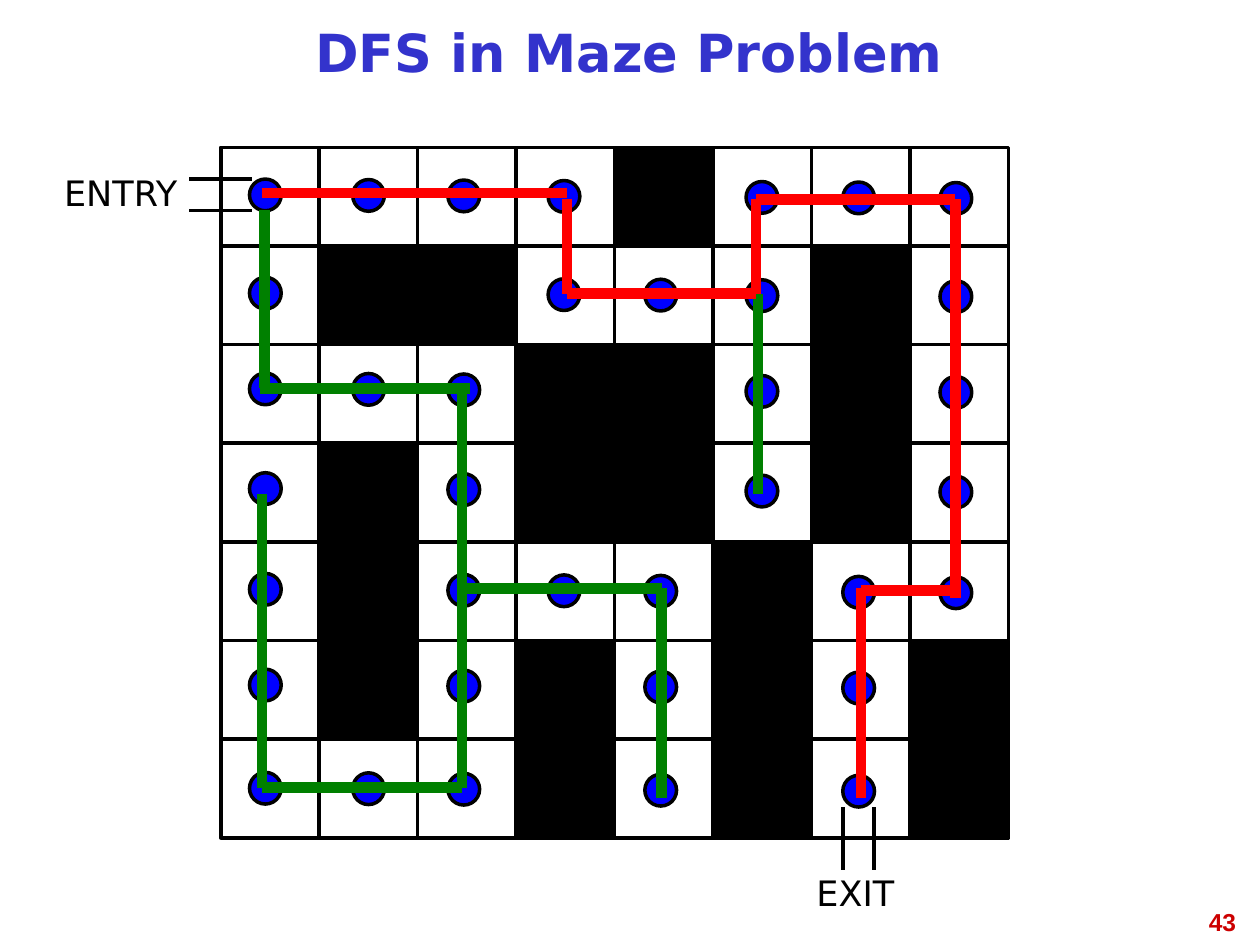
"""Build the slide that shows depth-first search in a maze."""
from lxml.etree import SubElement
from pptx import Presentation
from pptx.dml.color import RGBColor
from pptx.enum.shapes import MSO_CONNECTOR, MSO_SHAPE
from pptx.enum.text import MSO_ANCHOR as ANCHOR, PP_ALIGN as ALIGN
from pptx.oxml.ns import qn
from pptx.util import Cm, Pt

COLORS = {
    "black": "000000",
    "title": "3333CC",
    "number": "CC0000",
    "dot": "0000FF",
    "back": "008000",
    "route": "FF0000",
}
RGB = {name: RGBColor.from_string(value) for name, value in COLORS.items()}

prs = Presentation()
prs.slide_width, prs.slide_height = Cm(25.4), Cm(19.05)
s = prs.slides.add_slide(prs.slide_layouts[6])


def add_text(text, box, size=20, color="black", font="DejaVu Sans", bold=False,
             align=ALIGN.CENTER, anchor=ANCHOR.MIDDLE, inset=0.0, wrap=True, spacing=1.0):
    tf = s.shapes.add_textbox(*map(Cm, box)).text_frame
    tf.word_wrap = wrap
    tf.vertical_anchor = anchor
    tf.margin_left = tf.margin_right = Cm(0.25)
    tf.margin_top = tf.margin_bottom = Cm(inset)
    p = tf.paragraphs[0]
    p.alignment = align
    p.line_spacing = spacing
    r = p.add_run()
    r.text = text
    r.font.name, r.font.size, r.font.bold = font, Pt(size), bold
    r.font.color.rgb = RGB[color]


def add_line(start, end, color="black", width=2):
    line = s.shapes.add_connector(MSO_CONNECTOR.STRAIGHT, *map(Cm, start + end))
    line.line.color.rgb = RGB[color]
    line.line.width = Pt(width)
    SubElement(line._element.spPr, qn("a:effectLst"))


add_text("43", (19.25, 18.16, 5.92, 1.32), size=14, color="number", font="Arial",
         bold=True, align=ALIGN.RIGHT, anchor=ANCHOR.TOP, inset=0.13)
add_text("DFS in Maze Problem", (1.27, 0.2, 22.83, 1.9), size=30, color="title",
         bold=True, inset=0.13, spacing=0.81)

MAZE = [
    "....#...",
    ".##...#.",
    "...##.#.",
    ".#.##.#.",
    ".#...#..",
    ".#.#.#.#",
    "...#.#.#",
]
LEFT, TOP = 4.45, 2.97
CELL_W, CELL_H = 15.88 / 8, 13.92 / 7
cells = [(row, col, mark) for row, line in enumerate(MAZE) for col, mark in enumerate(line)]

for row, col, mark in cells:
    cell = s.shapes.add_shape(MSO_SHAPE.RECTANGLE, Cm(LEFT + col * CELL_W),
                              Cm(TOP + row * CELL_H), Cm(CELL_W), Cm(CELL_H))
    cell.shadow.inherit = False
    cell.line.color.rgb = RGB["black"]
    cell.line.width = Pt(2)
    if mark == "#":
        cell.fill.solid()
        cell.fill.fore_color.rgb = RGB["black"]
    else:
        cell.fill.background()

for y in (3.61, 4.24):
    add_line((3.81, y), (5.08, y))
for x in (16.99, 17.62):
    add_line((x, 17.53), (x, 16.26))
add_text("ENTRY", (0.43, 3.23, 4.01, 1.3), wrap=False)
add_text("EXIT", (15.24, 17.35, 4.01, 1.3), wrap=False)

DOT = 0.64
DOT_X = [5.03, 7.11, 9.03, 11.05, 13, 15.04, 16.99, 18.95]
DOT_Y = [3.61, 5.59, 7.52, 9.53, 11.56, 13.49, 15.57]
DRIFT = 0.01

for row, col, mark in cells:
    if mark == ".":
        dot = s.shapes.add_shape(MSO_SHAPE.OVAL, Cm(DOT_X[col]),
                                 Cm(DOT_Y[row] + col * DRIFT), Cm(DOT), Cm(DOT))
        dot.shadow.inherit = False
        dot.fill.solid()
        dot.fill.fore_color.rgb = RGB["dot"]
        dot.line.color.rgb = RGB["black"]
        dot.line.width = Pt(2)

PATHS = {
    "back": [
        ((5.28, 15.88), (5.28, 9.96)),
        ((9.31, 15.88), (5.28, 15.88)),
        ((9.31, 11.86), (9.31, 15.88)),
        ((13.34, 11.86), (13.34, 16.08)),
        ((9.31, 11.86), (13.34, 11.86)),
        ((9.31, 7.83), (9.31, 11.86)),
        ((5.24, 7.83), (9.47, 7.83)),
        ((5.33, 4.24), (5.33, 7.83)),
        ((15.28, 5.92), (15.28, 9.96)),
    ],
    "route": [
        ((5.28, 3.89), (11.43, 3.89)),
        ((11.43, 4.02), (11.43, 5.92)),
        ((11.43, 5.92), (15.24, 5.92)),
        ((15.24, 5.92), (15.24, 4.02)),
        ((15.24, 4.02), (19.26, 4.02)),
        ((19.26, 4.02), (19.26, 12.06)),
        ((19.26, 11.9), (17.36, 11.9)),
        ((17.36, 11.86), (17.36, 16.08)),
    ],
}
for color, segments in PATHS.items():
    for start, end in segments:
        add_line(start, end, color=color, width=6)

prs.save("out.pptx")
